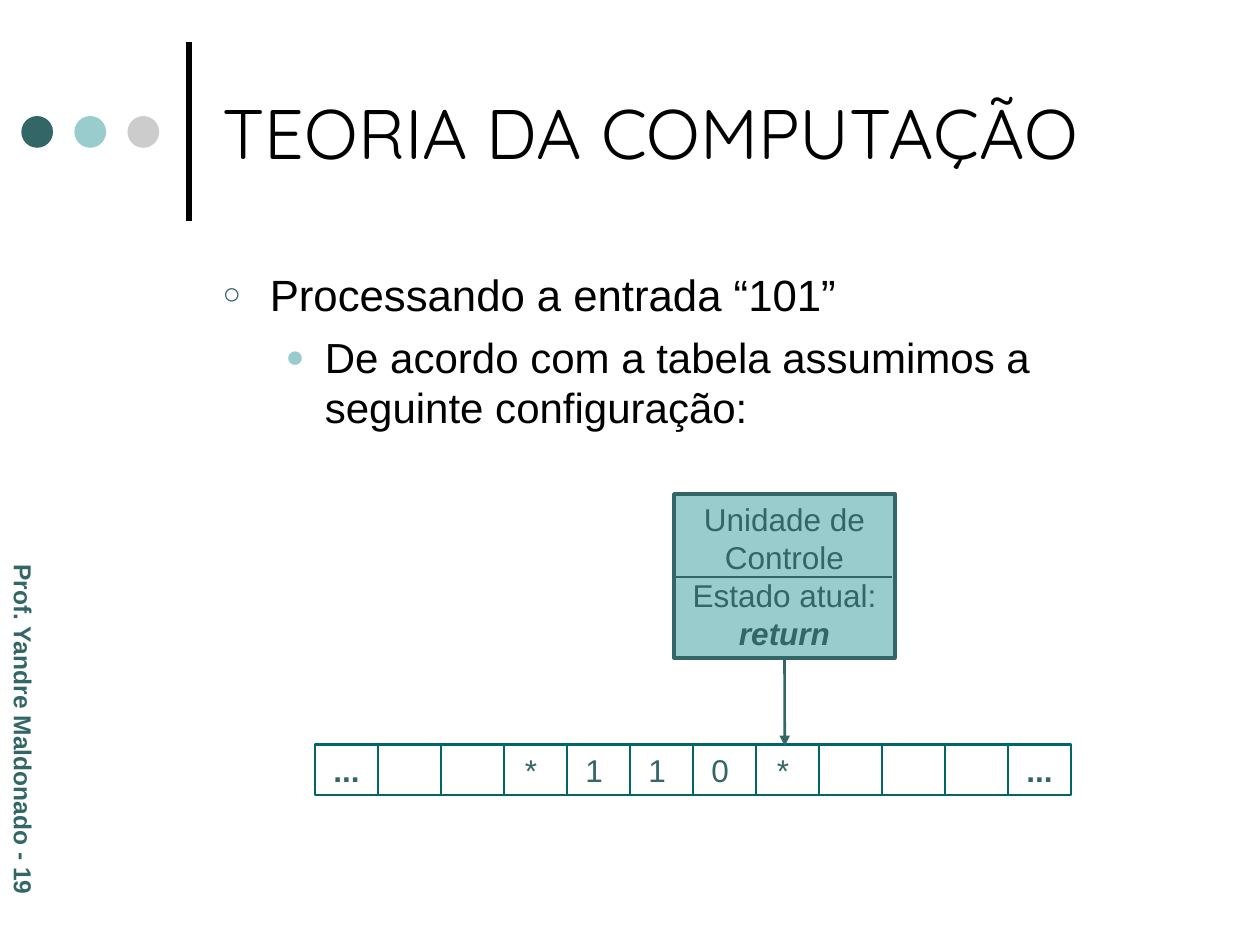
"""Build a slide on a Turing machine reading its tape."""
from lxml.etree import SubElement
from pptx import Presentation
from pptx.dml.color import RGBColor
from pptx.enum.shapes import MSO_CONNECTOR, MSO_SHAPE
from pptx.enum.text import MSO_ANCHOR, PP_ALIGN
from pptx.oxml.ns import qn
from pptx.util import Cm, Pt

BLACK = RGBColor(0, 0, 0)
WHITE = RGBColor(0xFF, 0xFF, 0xFF)
DARK = RGBColor(0x33, 0x66, 0x66)
LIGHT = RGBColor(0x99, 0xCC, 0xCC)
GREY = RGBColor(0xCC, 0xCC, 0xCC)
EDGE = RGBColor(0, 0x66, 0x66)

DOTS = [DARK, LIGHT, GREY]
TITLE = [("TEORIA DA COMPUTAÇÃO", {"size": Pt(40), "name": "Quicksand"})]
BODY = [
    ("Processando a entrada “101”", {"size": Pt(25)}),
    ("De acordo com a tabela assumimos a seguinte configuração:", {"size": Pt(24)}),
]
MARKS = [("○", DARK, 70, 0.95, 0.95), ("●", LIGHT, 75, 2.06, 0.79)]
SIDE = [("Prof. Yandre Maldonado - 19", {"size": Pt(14), "bold": True})]
UNIT = [
    ("Unidade de Controle", {}),
    ("Estado atual:", {}),
    ("return", {"bold": True, "italic": True}),
]
TAPE = ["...", "", "", "* ", "1 ", "1 ", "0 ", "* ", "", "", "", "..."]
CELL = 1.27


def put(shape, rows, color, align=PP_ALIGN.LEFT, anchor=MSO_ANCHOR.TOP):
    frame = shape.text_frame
    frame.word_wrap = True
    frame.vertical_anchor = anchor
    for i, (text, form) in enumerate(rows):
        para = frame.add_paragraph() if i else frame.paragraphs[0]
        para.alignment = align
        run = para.add_run()
        run.text = text
        run.font.color.rgb = color
        for key, val in {"name": "Arial", "size": Pt(18), **form}.items():
            setattr(run.font, key, val)
    return frame


def mark(para, char, color, size, left, hang):
    props = para._p.get_or_add_pPr()
    props.set("marL", str(Cm(left)))
    props.set("indent", str(-Cm(hang)))
    tint = SubElement(props, qn("a:buClr"))
    SubElement(tint, qn("a:srgbClr"), val=str(color))
    SubElement(props, qn("a:buSzPct"), val=str(size * 1000))
    SubElement(props, qn("a:buFont"), typeface="Arial")
    SubElement(props, qn("a:buChar"), char=char)


def draw(shapes, kind, area, fill, edge=None, width=0):
    shape = shapes.add_shape(kind, *map(Cm, area))
    shape.shadow.inherit = False
    shape.fill.solid()
    shape.fill.fore_color.rgb = fill
    if edge is None:
        shape.line.fill.background()
    else:
        shape.line.color.rgb = edge
        shape.line.width = Pt(width)
    return shape


def rule(shapes, ends, color, width):
    line = shapes.add_connector(MSO_CONNECTOR.STRAIGHT, *map(Cm, ends))
    line.line.color.rgb = color
    line.line.width = Pt(width)
    SubElement(line._element.spPr, qn("a:effectLst"))
    return line


def main():
    deck = Presentation()
    deck.slide_width, deck.slide_height = Cm(25.4), Cm(19.05)
    shapes = deck.slides.add_slide(deck.slide_layouts[6]).shapes

    rule(shapes, (3.81, 4.45, 3.81, 0.84), BLACK, 3)
    for i, tint in enumerate(DOTS):
        draw(shapes, MSO_SHAPE.OVAL, (0.43 + 1.07 * i, 2.34, 0.64, 0.64), tint)

    head = shapes.add_textbox(*map(Cm, (4.24, 0.53, 19.48, 4.24)))
    put(head, TITLE, BLACK, anchor=MSO_ANCHOR.MIDDLE)

    body = shapes.add_textbox(*map(Cm, (4.24, 5.28, 19.48, 11.43)))
    paras = put(body, BODY, BLACK).paragraphs
    for para, form in zip(paras, MARKS):
        mark(para, *form)
    paras[1].space_before = Pt(6)

    side = shapes.add_textbox(*map(Cm, (-3.43, 14.6, 7.8, 0.86)))
    side.rotation = 90
    put(side, SIDE, DARK)

    for i, text in enumerate(TAPE):
        area = (6.35 + CELL * i, 15.01, CELL, 1.02)
        cell = draw(shapes, MSO_SHAPE.RECTANGLE, area, WHITE, EDGE, 1.5)
        if text:
            form = {"bold": text == "..."}
            put(cell, [(text, form)], DARK, PP_ALIGN.CENTER)

    unit = draw(shapes, MSO_SHAPE.RECTANGLE, (13.59, 9.96, 4.45, 3.3), LIGHT, DARK, 2.25)
    put(unit, UNIT, DARK, PP_ALIGN.CENTER)
    rule(shapes, (13.54, 11.63, 17.98, 11.63), DARK, 1.25)

    arrow = rule(shapes, (15.82, 13.34, 15.82, 15.04), DARK, 1.5)
    arrow.begin_connect(unit, 2)
    SubElement(arrow.line._get_or_add_ln(), qn("a:tailEnd"), type="triangle")

    deck.save("out.pptx")


if __name__ == "__main__":
    main()
